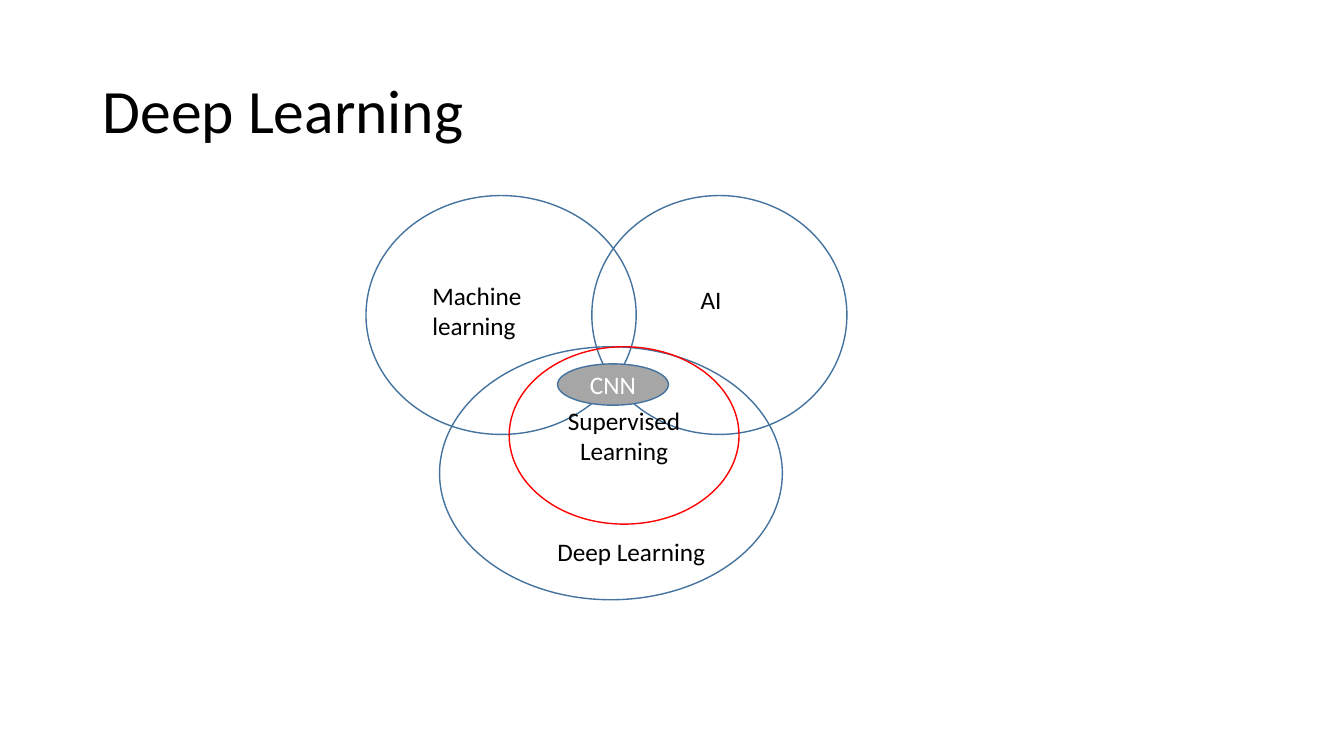
"""Build the Deep Learning slide with its overlapping field ellipses."""
from pptx import Presentation
from pptx.dml.color import RGBColor
from pptx.enum.shapes import MSO_SHAPE
from pptx.enum.text import MSO_ANCHOR, PP_ALIGN
from pptx.util import Inches, Pt

BLACK = RGBColor(0x00, 0x00, 0x00)
WHITE = RGBColor(0xFF, 0xFF, 0xFF)
BLUE = RGBColor(0x43, 0x73, 0x9E)
RED = RGBColor(0xFF, 0x00, 0x00)
GRAY = RGBColor(0xA6, 0xA6, 0xA6)


def write(shape, text, size=18, color=BLACK, align=PP_ALIGN.LEFT, anchor=MSO_ANCHOR.TOP):
    frame = shape.text_frame
    frame.word_wrap = True
    frame.vertical_anchor = anchor
    para = frame.paragraphs[0]
    para.alignment = align
    span = para.add_run()
    span.text = text
    span.font.name = "Calibri"
    span.font.size = Pt(size)
    span.font.color.rgb = color
    return para


def add_ellipse(left, top, width, height, line, fill=None):
    ellipse = page.shapes.add_shape(
        MSO_SHAPE.OVAL, Inches(left), Inches(top), Inches(width), Inches(height))
    ellipse.shadow.inherit = False
    ellipse.line.color.rgb = line
    ellipse.line.width = Pt(1)
    if fill is None:
        ellipse.fill.background()
    else:
        ellipse.fill.solid()
        ellipse.fill.fore_color.rgb = fill
    return ellipse


deck = Presentation()
deck.slide_width = Inches(13.33)
deck.slide_height = Inches(7.5)
page = deck.slides.add_slide(deck.slide_layouts[6])

title = page.shapes.add_textbox(Inches(0.92), Inches(0.4), Inches(11.5), Inches(1.45))
write(title, "Deep Learning", size=44, anchor=MSO_ANCHOR.MIDDLE).line_spacing = 0.9

for left, top, width, height in [
    (3.63, 1.94, 2.68, 2.37),
    (5.87, 1.94, 2.53, 2.37),
    (4.36, 3.44, 3.4, 2.51),
]:
    add_ellipse(left, top, width, height, BLUE)

for text, left, top, width, height in [
    ("Machine learning", 4.19, 2.73, 1.56, 0.71),
    ("Deep Learning", 5.43, 5.27, 2.31, 0.4),
    ("AI", 6.85, 2.77, 1.56, 0.4),
]:
    label = page.shapes.add_textbox(Inches(left), Inches(top), Inches(width), Inches(height))
    write(label, text)

supervised = add_ellipse(5.05, 3.44, 2.28, 1.76, RED)
write(supervised, "Supervised Learning", align=PP_ALIGN.CENTER, anchor=MSO_ANCHOR.MIDDLE)

network = add_ellipse(5.53, 3.61, 1.1, 0.41, BLUE, GRAY)
write(network, "CNN", color=WHITE, align=PP_ALIGN.CENTER, anchor=MSO_ANCHOR.MIDDLE)

deck.save("out.pptx")
